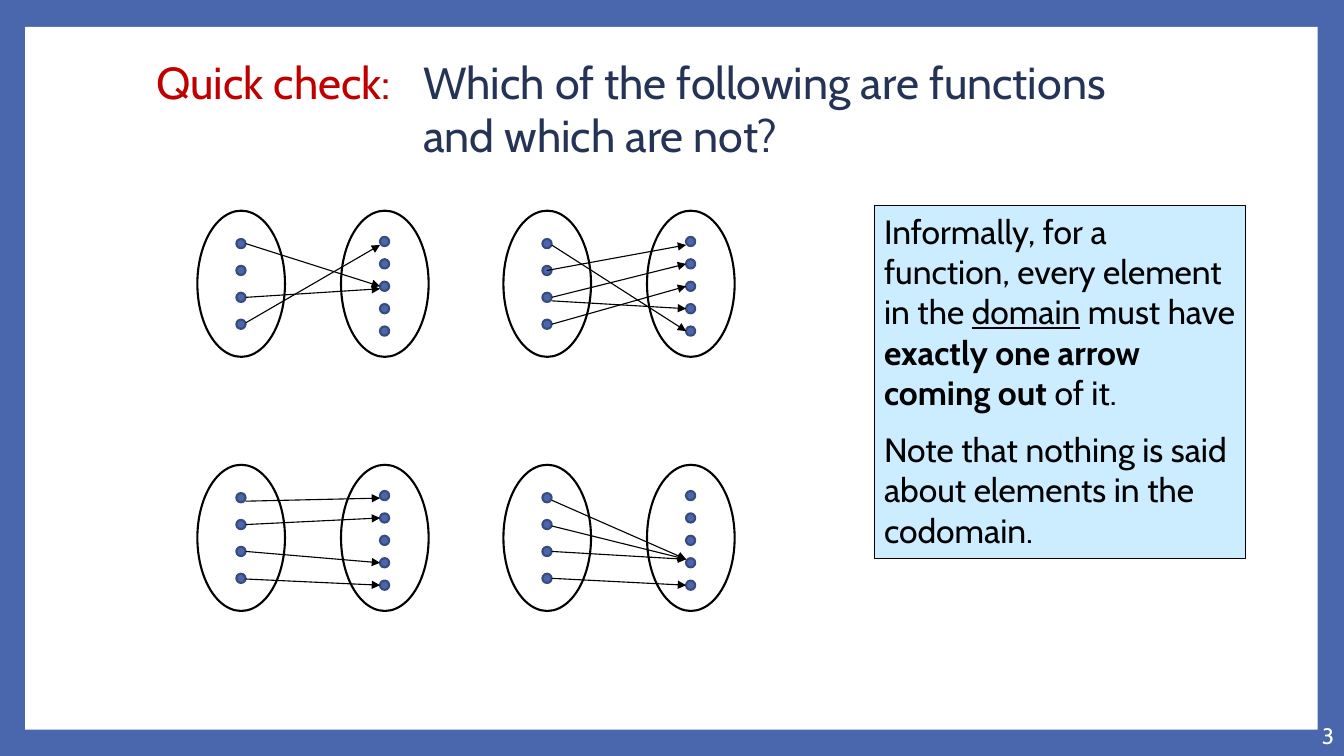
from dataclasses import dataclass
from typing import Any

from lxml.etree import SubElement
from pptx import Presentation
from pptx.dml.color import RGBColor
from pptx.enum.shapes import MSO_CONNECTOR as Connector
from pptx.enum.shapes import MSO_SHAPE as Preset
from pptx.enum.text import MSO_ANCHOR as Anchor
from pptx.enum.text import MSO_AUTO_SIZE as AutoSize
from pptx.enum.text import PP_ALIGN as Align
from pptx.oxml.ns import qn
from pptx.util import Pt

BLUE, BLACK, WHITE = "4A66AC", "000000", "FFFFFF"
RED, NAVY, DOT_EDGE, PALE_BLUE = "C00000", "253356", "374B7F", "CCECFF"

SET_WIDTH, SET_HEIGHT, SET_GAP = 62.6, 104.4, 102.6
DOT_SIZE, DOT_X = 6.6, 31.1
DOMAIN_DOTS = [23.5 + 19.2 * i for i in range(4)]
CODOMAIN_DOTS = [22 + 16 * i for i in range(5)]
DIAGRAM_LEFT, DIAGRAM_TOP = 141, 150.5
COLUMN_STEP, ROW_STEP = 218.6, 181.5
TITLE_INDENT = 190.8


@dataclass
class Arrow:
    """Joins a domain dot to a codomain dot; the drops shift its ends down."""
    source: int
    target: int
    start_drop: float = 0
    end_drop: float = 0
    start_reach: float = 3.4


@dataclass
class Run:
    text: str
    color: str = BLACK
    bold: bool = False
    underline: bool = False


DIAGRAMS = [
    [Arrow(0, 2), Arrow(2, 2, 0, 1.8), Arrow(3, 0, -1, 2.5)],
    [Arrow(1, 0, 0, 2.5, start_reach=0), Arrow(3, 2), Arrow(0, 4, 1),
     Arrow(2, 1), Arrow(2, 3, 2.5)],
    [Arrow(0, 0, 2.5, 1.8), Arrow(1, 1), Arrow(2, 3), Arrow(3, 4, 0.5)],
    [Arrow(0, 3, 1.8, -2.5), Arrow(1, 3, 1, -2.5), Arrow(2, 3, 0, -2.5),
     Arrow(3, 4)],
]

TITLE = [
    Run("Quick check:\t", RED),
    Run("Which of the following are functions and which are not?", NAVY),
]
NOTE = [
    [Run("Informally, for a function, every element in the "),
     Run("domain", underline=True), Run(" must have "),
     Run("exactly one arrow coming out ", bold=True), Run("of it.")],
    [Run("Note that nothing is said about elements in the codomain.")],
]


def rgb(color: str) -> RGBColor:
    return RGBColor.from_string(color)


def apply_format(target: Any, values: dict[str, Any]) -> None:
    for name, value in values.items():
        setattr(target, name, value)


def add_shape(shapes: Any, preset: Preset, left: float, top: float,
              width: float, height: float, fill: str | None = None,
              line: str | None = None, line_width: float = 1.5) -> Any:
    shape = shapes.add_shape(preset, Pt(left), Pt(top), Pt(width), Pt(height))
    shape.shadow.inherit = False
    if fill:
        shape.fill.solid()
        shape.fill.fore_color.rgb = rgb(fill)
    else:
        shape.fill.background()
    if line:
        shape.line.color.rgb = rgb(line)
        shape.line.width = Pt(line_width)
    else:
        shape.line.fill.background()
    return shape


def add_arrow(shapes: Any, start_x: float, start_y: float,
              end_x: float, end_y: float) -> None:
    connector = shapes.add_connector(
        Connector.STRAIGHT, Pt(start_x), Pt(start_y), Pt(end_x), Pt(end_y))
    connector.line.color.rgb = rgb(BLACK)
    connector.line.width = Pt(0.79)
    SubElement(connector.line._get_or_add_ln(), qn("a:tailEnd"), type="triangle")
    SubElement(connector._element.spPr, qn("a:effectLst"))


def add_diagram(shapes: Any, left: float, top: float,
                arrows: list[Arrow]) -> None:
    """Draws a domain and a codomain as one group, with the arrows between."""
    members = shapes.add_group_shape().shapes
    for set_left, dots in ((left, DOMAIN_DOTS), (left + SET_GAP, CODOMAIN_DOTS)):
        add_shape(members, Preset.OVAL, set_left, top, SET_WIDTH, SET_HEIGHT,
                  line=BLACK)
        for dot_y in dots:
            add_shape(members, Preset.OVAL, set_left + DOT_X - DOT_SIZE / 2,
                      top + dot_y - DOT_SIZE / 2, DOT_SIZE, DOT_SIZE,
                      BLUE, DOT_EDGE)
    for arrow in arrows:
        add_arrow(members,
                  left + DOT_X + arrow.start_reach,
                  top + DOMAIN_DOTS[arrow.source] + arrow.start_drop,
                  left + SET_GAP + DOT_X - 3.2,
                  top + CODOMAIN_DOTS[arrow.target] + arrow.end_drop)


def add_runs(paragraph: Any, runs: list[Run], size: float) -> None:
    for part in runs:
        run = paragraph.add_run()
        run.text = part.text
        apply_format(run.font, {"name": "Cabin", "size": Pt(size),
                                "bold": part.bold, "underline": part.underline})
        run.font.color.rgb = rgb(part.color)


def add_text_box(shapes: Any, left: float, top: float,
                 width: float, height: float) -> Any:
    frame = shapes.add_textbox(Pt(left), Pt(top), Pt(width), Pt(height)).text_frame
    frame.word_wrap = True
    return frame


def add_title(shapes: Any) -> None:
    frame = add_text_box(shapes, 104.4, 35.3, 727.2, 85)
    frame.auto_size = AutoSize.SHAPE_TO_FIT_TEXT
    paragraph = frame.paragraphs[0]
    properties = paragraph._p.get_or_add_pPr()
    indent = Pt(TITLE_INDENT)
    properties.set("marL", str(indent))
    properties.set("indent", str(-indent))
    tabs = SubElement(properties, qn("a:tabLst"))
    SubElement(tabs, qn("a:tab"), pos=str(indent), algn="l")
    add_runs(paragraph, TITLE, 32)


def add_note(shapes: Any) -> None:
    box = add_shape(shapes, Preset.RECTANGLE, 624.4, 146.9, 265, 252,
                    PALE_BLUE, BLACK, 0.75)
    frame = box.text_frame
    apply_format(frame, {"word_wrap": True, "vertical_anchor": Anchor.TOP,
                         "auto_size": AutoSize.SHAPE_TO_FIT_TEXT})
    for index, (runs, space) in enumerate(zip(NOTE, (12, 6))):
        paragraph = frame.add_paragraph() if index else frame.paragraphs[0]
        apply_format(paragraph, {"alignment": Align.LEFT, "space_after": Pt(space)})
        add_runs(paragraph, runs, 24)


def add_slide_number(shapes: Any) -> None:
    frame = add_text_box(shapes, 825.6, 511.2, 134.4, 28.8)
    frame.vertical_anchor = Anchor.MIDDLE
    paragraph = frame.paragraphs[0]
    paragraph.alignment = Align.RIGHT
    add_runs(paragraph, [Run("3", WHITE)], 16)


def main() -> None:
    presentation = Presentation()
    apply_format(presentation, {"slide_width": Pt(960), "slide_height": Pt(540)})
    slide = presentation.slides.add_slide(presentation.slide_layouts[6])
    slide.background.fill.solid()
    slide.background.fill.fore_color.rgb = rgb(BLUE)
    shapes = slide.shapes

    add_shape(shapes, Preset.RECTANGLE, 18, 19.2, 923.2, 502, WHITE)
    add_slide_number(shapes)
    add_title(shapes)
    for index, arrows in enumerate(DIAGRAMS):
        row, column = divmod(index, 2)
        add_diagram(shapes, DIAGRAM_LEFT + column * COLUMN_STEP,
                    DIAGRAM_TOP + row * ROW_STEP, arrows)
    add_note(shapes)
    presentation.save("out.pptx")


if __name__ == "__main__":
    main()
